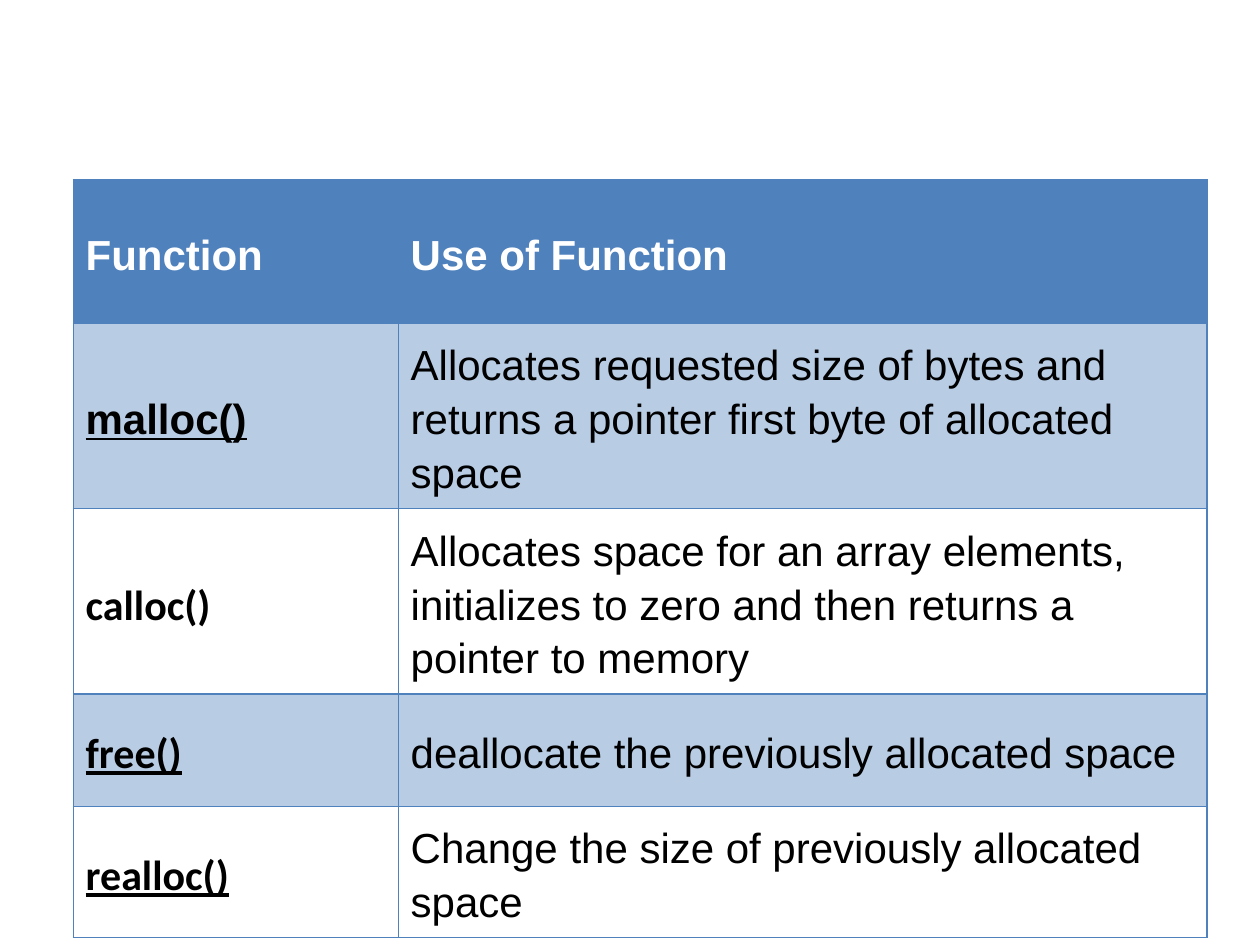
from lxml import etree
from pptx import Presentation
from pptx import util as u
from pptx.dml.color import RGBColor
from pptx.enum import text
from pptx.oxml.ns import qn

COLORS = {"blue": "4F81BD", "white": "FFFFFF", "black": "000000"}
HEAD = {"name": "Arial", "bold": True, "underline": False}
BODY = {"name": "Arial", "bold": False, "underline": False}
NAME = {"name": "Calibri", "bold": True, "underline": False}
LINK = {**NAME, "underline": True}

ROWS = [
    (1.14, ("Function", HEAD), ("Use of Function", HEAD)),
    (0.89, ("malloc()", {**LINK, "name": "Arial"}),
     ("Allocates requested size of bytes and returns a pointer first byte of allocated space", BODY)),
    (1.36, ("calloc()", NAME),
     ("Allocates space for an array elements, initializes to zero and then returns a pointer to memory", BODY)),
    (0.89, ("free()", LINK), ("deallocate the previously allocated space", BODY)),
    (0.89, ("realloc()", LINK), ("Change the size of previously allocated space", BODY)),
]


class Deck:
    size = 24
    spacing = 1.15
    border = 0.75

    def __init__(self, width, height):
        self.prs = Presentation()
        self.prs.slide_width, self.prs.slide_height = u.Inches(width), u.Inches(height)
        self.s = self.prs.slides.add_slide(self.prs.slide_layouts[6])

    def length(self, share):
        return int(self.prs.slide_width * share)

    def table(self, left, top, cols, rows):
        heights = [u.Inches(row[0]) for row in rows]
        widths = [self.length(c) for c in cols]
        frame = self.s.shapes.add_table(len(rows), len(cols), self.length(left),
                                        int(self.prs.slide_height * top), sum(widths), sum(heights))
        tbl = frame.table
        tbl.first_row = tbl.horz_banding = False
        for col, width in zip(tbl.columns, widths):
            col.width = width
        for i, (height, *cells) in enumerate(rows):
            tbl.rows[i].height = height if height > 100 else heights[i]
            for j, (words, style) in enumerate(cells):
                self.cell(tbl.cell(i, j), words, style, i)

    def cell(self, cell, words, style, row):
        head = row == 0
        margins = (0.1, 0.16, 0.08, 0.15) if head else (0.1, 0.1, 0.08, 0.09)
        for side, margin in zip(("left", "top", "right", "bottom"), margins):
            setattr(cell, "margin_" + side, u.Inches(margin))
        cell.vertical_anchor = text.MSO_ANCHOR.MIDDLE
        p = cell.text_frame.paragraphs[0]
        p.line_spacing = self.spacing
        r = p.add_run()
        r.text = words
        for key, value in {**style, "size": u.Pt(self.size)}.items():
            setattr(r.font, key, value)
        r.font.color.rgb = RGBColor.from_string(COLORS["white" if head else "black"])
        self.fill(cell, None if row and row % 2 == 0 else 100 if head else 40)
        self.borders(cell)

    def fill(self, cell, opacity):
        if opacity is None:
            cell.fill.background()
            return
        cell.fill.solid()
        cell.fill.fore_color.rgb = RGBColor.from_string(COLORS["blue"])
        if opacity < 100:
            clr = next(cell._tc.tcPr.iter(qn("a:srgbClr")))
            etree.SubElement(clr, qn("a:alpha"), val=str(opacity * 1000))

    def borders(self, cell):
        for i, side in enumerate("LRTB"):
            ln = etree.Element(qn("a:ln" + side), w=str(u.Pt(self.border)))
            solid = etree.SubElement(ln, qn("a:solidFill"))
            etree.SubElement(solid, qn("a:srgbClr"), val=COLORS["blue"])
            cell._tc.tcPr.insert(i, ln)


deck = Deck(10, 7.5)
deck.table(0.058, 0.19, (0.258, 0.642), ROWS)
deck.prs.save("out.pptx")
